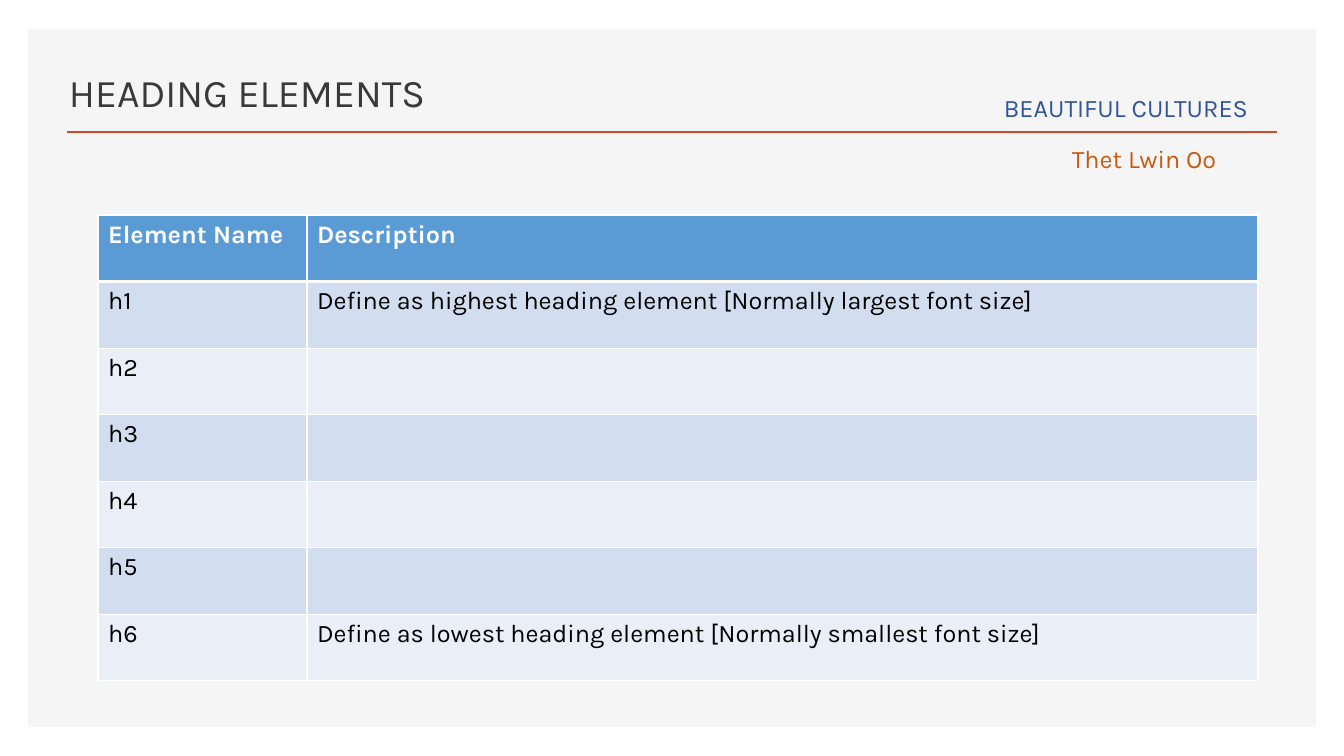
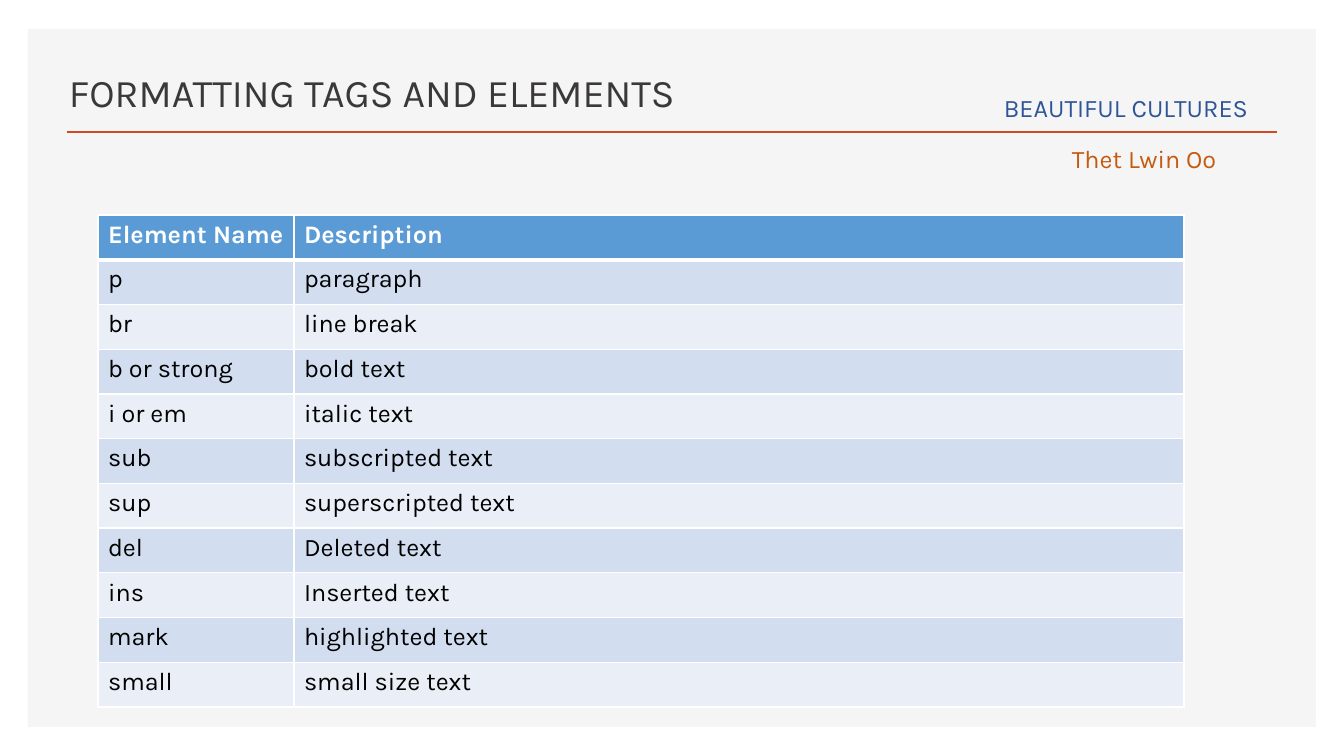
from dataclasses import dataclass
from lxml.etree import SubElement as Sub
from pptx import Presentation
from pptx.dml.color import RGBColor as Rgb
from pptx.enum.shapes import MSO_CONNECTOR as Conn, MSO_SHAPE as Shape
from pptx.enum.text import MSO_ANCHOR as Anchor
from pptx.oxml.ns import qn
from pptx.util import Pt


@dataclass(frozen=True)
class Theme:
    """Hold the colours, font and type sizes of the deck."""
    font: str = "Karla"
    head: int = 28
    body: int = 18
    panel: str = "F5F5F5"
    rule: str = "D24726"
    title: str = "3B3838"
    brand: str = "2F5597"
    author: str = "C55A11"
    top: str = "5B9BD5"
    bands: tuple = ("D2DEEF", "EAEFF7")
    white: str = "FFFFFF"
    ink: str = "000000"


THEME = Theme()
SCALE = 914400 / 100.8
PAGE = (1344, 756)
PANEL = (28, 29, 1288, 698)


def px(num):
    """Turn pixels into EMU."""
    return round(num * SCALE)


def write(frame, text, size=THEME.body, color=THEME.ink, bold=False, anchor=Anchor.TOP):
    """Put formatted text into a text frame."""
    frame.word_wrap = True
    frame.vertical_anchor = anchor
    par = frame.paragraphs[0]
    par.font.size = Pt(size)
    run = par.add_run()
    run.text = text
    font = run.font
    font.name, font.size, font.bold = THEME.font, Pt(size), bold
    font.color.rgb = Rgb.from_string(color)


def label(slide, box, text, **form):
    """Add a text box."""
    shape = slide.shapes.add_textbox(*map(px, box))
    write(shape.text_frame, text, **form)


def frame(slide, box, title):
    """Draw the panel, rule, title and names that all slides share."""
    left, top, width, _ = box
    panel = slide.shapes.add_shape(Shape.RECTANGLE, *map(px, box))
    panel.shadow.inherit = False
    panel.fill.solid()
    panel.fill.fore_color.rgb = Rgb.from_string(THEME.panel)
    panel.line.fill.background()
    ends = (left + 39, top + 103, left + width - 39, top + 103)
    rule = slide.shapes.add_connector(Conn.STRAIGHT, *map(px, ends))
    rule.line.color.rgb = Rgb.from_string(THEME.rule)
    rule.line.width = Pt(2)
    Sub(rule.element.spPr, qn("a:effectLst"))
    label(slide, (left + 31, top + 20, 756, 71), title,
          size=THEME.head, color=THEME.title, anchor=Anchor.BOTTOM)
    label(slide, (left + 966, top + 58, 282, 40), "BEAUTIFUL CULTURES", color=THEME.brand)
    label(slide, (left + 1034, top + 109, 169, 40), "Thet Lwin Oo", color=THEME.author)


def edge(cell, side, width):
    """Draw one white cell border."""
    line = Sub(cell._tc.get_or_add_tcPr(), qn("a:ln" + side), w=str(Pt(width)))
    Sub(Sub(line, qn("a:solidFill")), qn("a:srgbClr"), val=THEME.white)


def grid(slide, box, split, rows):
    """Add a banded table with a heading row and two columns."""
    width, height = box[2:]
    table = slide.shapes.add_table(len(rows), 2, *map(px, box)).table
    table.horz_banding = False
    for col, size in zip(table.columns, (split, width - split)):
        col.width = px(size)
    for pos, texts in enumerate(rows):
        table.rows[pos].height = px(height / len(rows))
        first = pos == 0
        fill = THEME.top if first else THEME.bands[(pos - 1) % 2]
        for cell, text in zip(table.rows[pos].cells, texts):
            for side in "LRTB":
                thick = (side, pos) in (("B", 0), ("T", 1))
                edge(cell, side, 3 if thick else 1)
            cell.fill.solid()
            cell.fill.fore_color.rgb = Rgb.from_string(fill)
            if text:
                write(cell.text_frame, text, bold=first,
                      color=THEME.white if first else THEME.ink)
            else:
                cell.text_frame.paragraphs[0].font.size = Pt(THEME.body)


def page(deck, title, size, split, rows):
    """Add a slide with a title and a table of elements."""
    slide = deck.slides.add_slide(deck.slide_layouts[6])
    frame(slide, PANEL, title)
    left, top = PANEL[:2]
    head = ("Element Name", "Description")
    grid(slide, (left + 70, top + 186, *size), split, [head, *rows])


HEADS = [(f"h{num}", "") for num in range(1, 7)]
HEADS[0] = ("h1", "Define as highest heading element [Normally largest font size]")
HEADS[-1] = ("h6", "Define as lowest heading element [Normally smallest font size]")
TAGS = [
    ("p", "paragraph"),
    ("br", "line break"),
    ("b or strong", "bold text"),
    ("i or em", "italic text"),
    ("sub", "subscripted text"),
    ("sup", "superscripted text"),
    ("del", "Deleted text"),
    ("ins", "Inserted text"),
    ("mark", "highlighted text"),
    ("small", "small size text"),
]


def main():
    """Build and save the deck."""
    deck = Presentation()
    deck.slide_width, deck.slide_height = map(px, PAGE)
    page(deck, "HEADING ELEMENTS", (1160, 466), 209, HEADS)
    page(deck, "FORMATTING TAGS AND ELEMENTS", (1086, 492), 196, TAGS)
    deck.save("out.pptx")


main()
